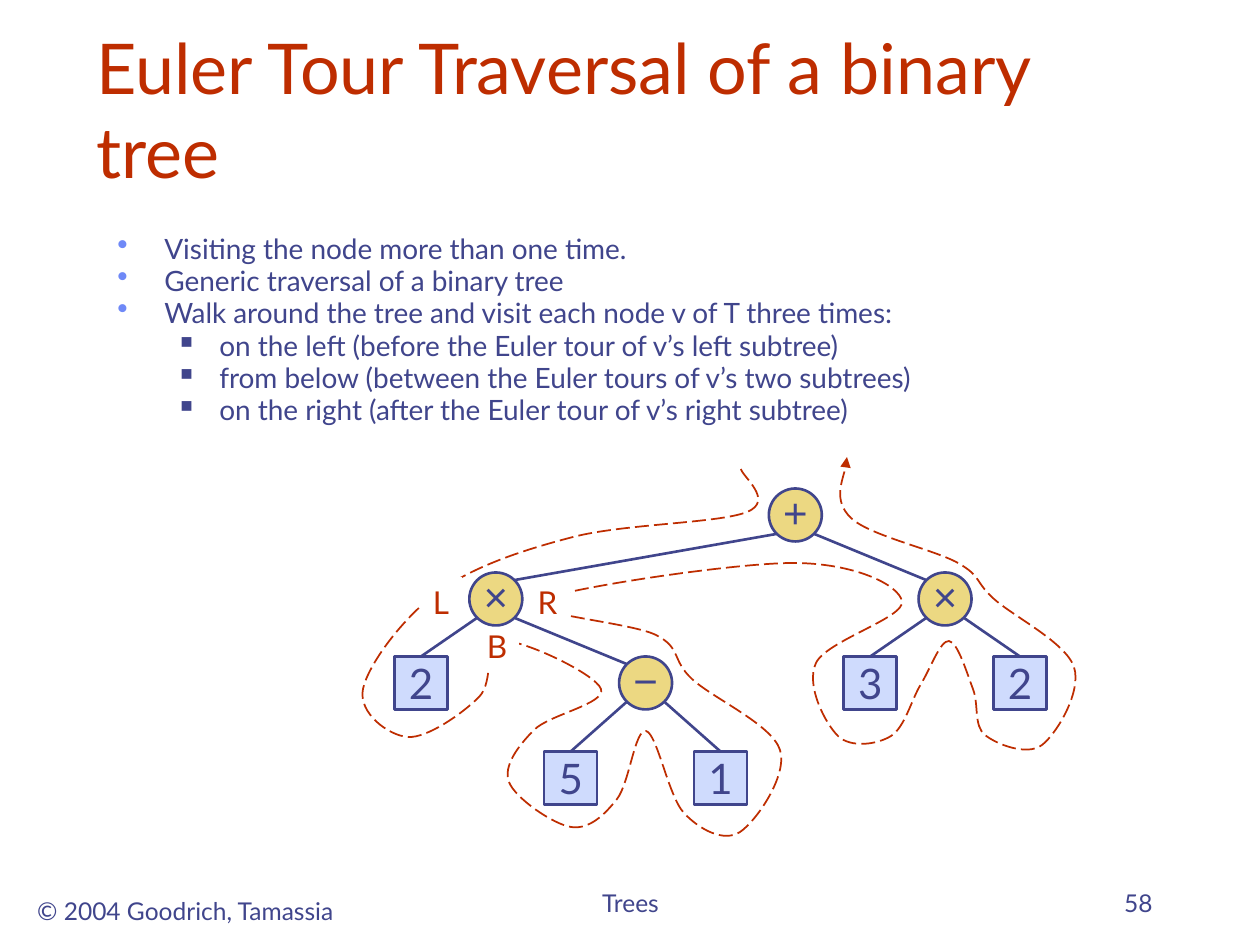
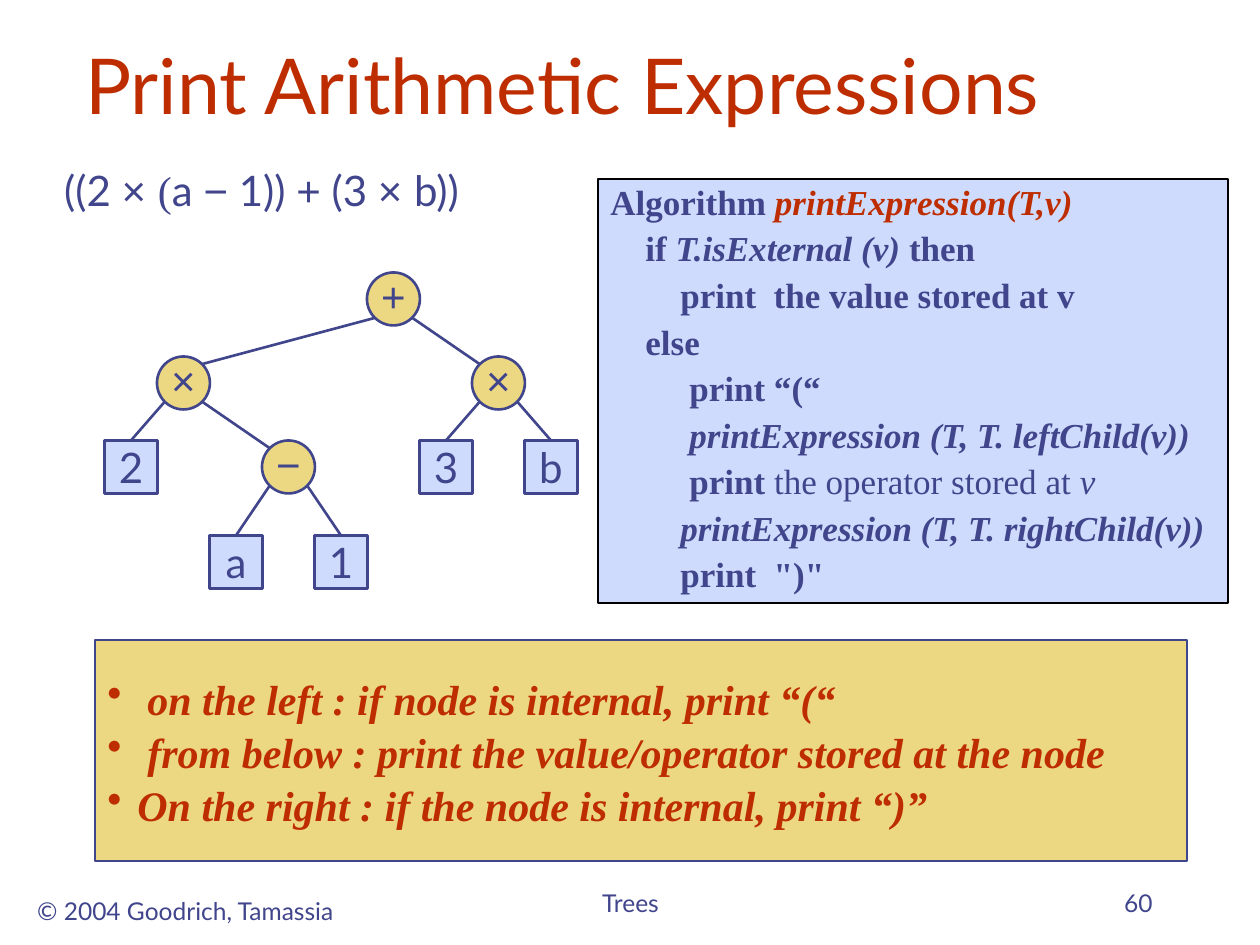
from collections import namedtuple
from dataclasses import dataclass
from itertools import count

from lxml.etree import SubElement
from pptx import Presentation
from pptx.dml.color import RGBColor as Rgb
from pptx.enum.dml import MSO_LINE
from pptx.enum.shapes import MSO_CONNECTOR, MSO_SHAPE
from pptx.enum.text import MSO_ANCHOR as Anchor, PP_ALIGN as Align
from pptx.oxml.ns import qn
from pptx.util import Emu, Pt


@dataclass(frozen=True)
class Theme:
    ink: Rgb = Rgb.from_string("40458C")
    accent: Rgb = Rgb.from_string("BE2D00")
    gold: Rgb = Rgb.from_string("ECD882")
    pale: Rgb = Rgb.from_string("CFDBFD")
    bullet: Rgb = Rgb.from_string("6F89F7")
    white: Rgb = Rgb.from_string("FFFFFF")
    black: Rgb = Rgb.from_string("000000")
    sans: str = "Lato"
    symbol: str = "Arial"
    serif: str = "Times New Roman"
    footer: int = 14
    body: int = 16
    label: int = 18
    code: int = 20
    large: int = 24
    line: float = 1.5


THEME = Theme()
Box = namedtuple("Box", "left top width height")
Node = namedtuple("Node", "shape x y is_leaf")

SLIDE_WIDTH, SLIDE_HEIGHT = 1260, 945
NODE_SIZE = 53
NODE_CORNER = 19  # offset of a circle's diagonal point from its centre
LEVELS = (0, 84, 168, 263)

EULER_TREE = ("+", ("×", "2", ("−", "5", "1")), ("×", "3", "2"))
PRINT_TREE = ("+", ("×", "2", ("−", "a", "1")), ("×", "3", "b"))

TOUR_KNOTS = (
    (383, 12), (389, 55), (215, 80), (80, 135), (5, 232), (50, 280), (121, 240),
    (145, 184), (243, 232), (176, 273), (151, 325), (213, 370), (259, 342),
    (288, 274), (326, 356), (382, 375), (422, 293), (334, 222), (298, 178),
    (180, 144), (435, 106), (544, 144), (458, 206), (480, 279), (533, 279),
    (563, 227), (591, 184), (615, 232), (627, 278), (684, 288), (716, 210),
    (636, 142), (600, 106), (493, 61), (489, 0),
)
VISIT_LABELS = (("L", 62, 120, 42), ("B", 117, 164, 44), ("R", 167, 120, 45))

TOUR_POINTS = (
    (0, "Visiting the node more than one time."),
    (0, "Generic traversal of a binary tree"),
    (0, "Walk around the tree and visit each node v of T three times:"),
    (1, "on the left (before the Euler tour of v’s left subtree)"),
    (1, "from below (between the Euler tours of v’s two subtrees)"),
    (1, "on the right (after the Euler tour of v’s right subtree)"),
)
# Indent, then spans of (text, style): b bold, i italic, a accent colour
CODE_LINES = (
    (0, ("Algorithm ", "b"), ("printExpression(T,v)", "bia")),
    (35, ("if ", "b"), ("T.isExternal (v)", "bi"), (" then", "b")),
    (70, ("print  the value stored at v", "b")),
    (35, ("else", "b")),
    (79, ("print “(“", "b")),
    (79, ("printExpression (T, T. leftChild(v))", "bi")),
    (79, ("print ", "b"), ("the operator stored at ", ""), ("v", "i")),
    (70, ("printExpression (T, T. rightChild(v))", "bi")),
    (70, ('print  ")"', "b")),
)
VISIT_RULES = (
    (40, "on the left : if node is internal, print “(“"),
    (40, "from below : print the value/operator stored at the node"),
    (30, "On the right : if the node is internal, print “)”"),
)
EXPRESSION = (
    ("((2 ", THEME.sans), ("× ", THEME.symbol), ("(", THEME.serif),
    ("a ", THEME.sans), ("−", THEME.symbol), (" 1)) ", THEME.sans),
    ("+", THEME.symbol), (" (3 ", THEME.sans), ("× ", THEME.symbol), ("b))", THEME.sans),
)


def px(length):
    return Emu(round(length * 914400 / 126))


def emu_box(box):
    return [px(length) for length in box]


def style(font, size, color, name=THEME.sans, bold=False, italic=False):
    font.size, font.name, font.bold, font.italic = Pt(size), name, bold, italic
    font.color.rgb = color


def write(para, text, size, color, align=Align.LEFT, **look):
    para.text = text
    para.alignment = align
    for span in para.runs:
        style(span.font, size, color, **look)


def add_span(para, text, size, color, **look):
    span = para.add_run()
    span.text = text
    style(span.font, size, color, **look)


def paragraphs(frame, items):
    """Pair each item with a paragraph of its own."""
    for index, item in enumerate(items):
        yield (frame.add_paragraph() if index else frame.paragraphs[0]), item


def indent(para, left, hang=0):
    props = para._p.get_or_add_pPr()
    props.set("marL", str(px(left)))
    props.set("indent", str(-px(hang)))
    return props


def add_bullet(para, mark, left, hang, color, percent=100):
    props = indent(para, left, hang)
    SubElement(SubElement(props, qn("a:buClr")), qn("a:srgbClr"), val=str(color))
    SubElement(props, qn("a:buSzPct"), val=str(percent * 1000))
    SubElement(props, qn("a:buChar"), char=mark)


def add_text(page, box, text, size, color, align=Align.LEFT, anchor=Anchor.TOP, wrap=True):
    frame = page.shapes.add_textbox(*emu_box(box)).text_frame
    frame.word_wrap, frame.vertical_anchor = wrap, anchor
    write(frame.paragraphs[0], text, size, color, align)
    return frame


def add_panel(page, kind, box, fill, line=None, width=THEME.line):
    shape = page.shapes.add_shape(kind, *emu_box(box))
    shape.shadow.inherit = False
    shape.fill.solid()
    shape.fill.fore_color.rgb = fill
    if line is None:
        shape.line.fill.background()
    else:
        shape.line.color.rgb, shape.line.width = line, Pt(width)
    return shape


def add_frame(page, title, title_box, title_size, number):
    """Draw the title and the footers that every slide has."""
    add_text(page, Box(21, 890, 329, 42), "© 2004 Goodrich, Tamassia",
             THEME.footer, THEME.ink, Align.CENTER, wrap=False)
    for box, text, align in ((Box(431, 861, 399, 63), "Trees", Align.CENTER),
                             (Box(903, 861, 262, 63), str(number), Align.RIGHT)):
        add_text(page, box, text, THEME.footer, THEME.ink, align, Anchor.BOTTOM)
    add_text(page, title_box, title, title_size, THEME.accent, anchor=Anchor.BOTTOM)


def add_node(page, label, x, y, is_leaf):
    kind, fill, name = ((MSO_SHAPE.RECTANGLE, THEME.pale, THEME.sans) if is_leaf
                        else (MSO_SHAPE.OVAL, THEME.gold, THEME.symbol))
    box = Box(x - NODE_SIZE / 2, y - NODE_SIZE / 2, NODE_SIZE, NODE_SIZE)
    shape = add_panel(page, kind, box, fill, THEME.ink)
    frame = shape.text_frame
    frame.word_wrap, frame.vertical_anchor = False, Anchor.MIDDLE
    if not is_leaf:
        frame.margin_left = frame.margin_right = frame.margin_top = 0
        frame.margin_bottom = px(6)
    write(frame.paragraphs[0], label, THEME.large, THEME.ink, Align.CENTER, name=name)
    return Node(shape, x, y, is_leaf)


def add_edge(page, parent, child):
    side = 1 if child.x > parent.x else -1
    edge = page.shapes.add_connector(
        MSO_CONNECTOR.STRAIGHT,
        px(parent.x + side * NODE_CORNER), px(parent.y + NODE_CORNER),
        px(child.x - side * NODE_CORNER), px(child.y - NODE_CORNER))
    if child.is_leaf:
        edge.end_connect(child.shape, 0)
    edge.line.color.rgb, edge.line.width = THEME.ink, Pt(THEME.line)
    SubElement(edge.element.spPr, qn("a:effectLst"))


def add_tree(page, tree, left, top, width):
    """Draw a nine-node tree, one column per node in inorder; left and top are node centres."""
    columns = count()

    def place(subtree, depth):
        is_leaf = isinstance(subtree, str)
        label, *branches = (subtree,) if is_leaf else subtree
        children = [] if is_leaf else [place(branches[0], depth + 1)]
        x = left + next(columns) * width / 8
        if not is_leaf:
            children.append(place(branches[1], depth + 1))
        node = add_node(page, label, x, top + LEVELS[depth], is_leaf)
        for child in children:
            add_edge(page, node, child)
        return node

    place(tree, 0)


def curve_points(knots):
    """Yield the control points and end of each Bézier piece of a smooth curve."""
    padded = (knots[0], *knots, knots[-1])
    for before, start, end, after in zip(padded, padded[1:], padded[2:], padded[3:]):
        yield tuple(s + (e - b) / 6 for b, s, e in zip(before, start, end))
        yield tuple(e - (a - s) / 6 for s, e, a in zip(start, end, after))
        yield end


def add_tour(page, left, top):
    """Draw the dashed walk around the tree and its three visit labels."""
    def at(point):
        return px(left + point[0]), px(top + point[1])

    builder = page.shapes.build_freeform(*at(TOUR_KNOTS[0]))
    builder.add_line_segments([at(point) for point in curve_points(TOUR_KNOTS)], close=False)
    tour = builder.convert_to_shape()
    outline = next(tour.element.iter(qn("a:path")))
    steps = outline.findall(qn("a:lnTo"))
    for first in range(0, len(steps), 3):
        piece = SubElement(outline, qn("a:cubicBezTo"))
        for step in steps[first:first + 3]:
            piece.append(step[0])
            outline.remove(step)
    tour.shadow.inherit = False
    tour.fill.background()
    tour.line.color.rgb, tour.line.width = THEME.accent, Pt(1)
    tour.line.dash_style = MSO_LINE.LONG_DASH
    SubElement(tour.element.spPr.find(qn("a:ln")), qn("a:tailEnd"), type="triangle")

    for text, x, y, width in VISIT_LABELS:
        frame = add_panel(page, MSO_SHAPE.RECTANGLE, Box(left + x, top + y, width, 50),
                          THEME.white).text_frame
        frame.word_wrap, frame.vertical_anchor = False, Anchor.TOP
        write(frame.paragraphs[0], text, THEME.label, THEME.accent, Align.CENTER)


def add_tour_points(page, box):
    frame = add_text(page, box, "", THEME.body, THEME.ink)
    for para, (level, text) in paragraphs(frame, TOUR_POINTS):
        write(para, text, THEME.body, THEME.ink)
        para.level, para.line_spacing, para.space_before = level, 0.8, Pt(3)
        if level:
            add_bullet(para, "■", 102, 39, THEME.ink, 60)
        else:
            add_bullet(para, "•", 47, 47, THEME.bullet, 110)


def add_algorithm(page, box):
    frame = add_panel(page, MSO_SHAPE.RECTANGLE, box, THEME.pale, THEME.black, 0.75).text_frame
    frame.word_wrap, frame.vertical_anchor = True, Anchor.TOP
    for para, (left, *spans) in paragraphs(frame, CODE_LINES):
        para.alignment, para.line_spacing, para.space_before = Align.LEFT, 0.9, Pt(5)
        indent(para, left)
        for text, flags in spans:
            add_span(para, text, THEME.code, THEME.accent if "a" in flags else THEME.ink,
                     name=THEME.serif, bold="b" in flags, italic="i" in flags)


def add_visit_rules(page, box):
    frame = add_panel(page, MSO_SHAPE.RECTANGLE, box, THEME.gold, THEME.ink).text_frame
    frame.word_wrap, frame.vertical_anchor = True, Anchor.MIDDLE
    for para, (left, text) in paragraphs(frame, VISIT_RULES):
        write(para, text, THEME.large, THEME.accent, name=THEME.serif, bold=True, italic=True)
        para.line_spacing = 1.05
        add_bullet(para, "•", left, left, THEME.accent)


def add_expression(page, box):
    para = add_text(page, box, "", THEME.large, THEME.ink, Align.CENTER, wrap=False).paragraphs[0]
    for text, name in EXPRESSION:
        add_span(para, text, THEME.large, THEME.ink, name=name)


def euler_tour_slide(page):
    add_frame(page, "Euler Tour Traversal of a binary tree", Box(84, 42, 1071, 157), 40, 58)
    add_tour_points(page, Box(105, 232, 1032, 244))
    add_tour(page, 358, 457)
    add_tree(page, EULER_TREE, 421, 515, 599)


def print_expressions_slide(page):
    add_frame(page, "Print Arithmetic Expressions", Box(73, 0, 1113, 136), 44, 60)
    add_algorithm(page, Box(598, 179, 630, 424))
    add_tree(page, PRINT_TREE, 131, 299, 420)
    add_expression(page, Box(32, 158, 459, 63))
    add_visit_rules(page, Box(95, 640, 1092, 221))


def main():
    deck = Presentation()
    deck.slide_width, deck.slide_height = px(SLIDE_WIDTH), px(SLIDE_HEIGHT)
    for build in (euler_tour_slide, print_expressions_slide):
        build(deck.slides.add_slide(deck.slide_layouts[6]))
    deck.save("out.pptx")


if __name__ == "__main__":
    main()
